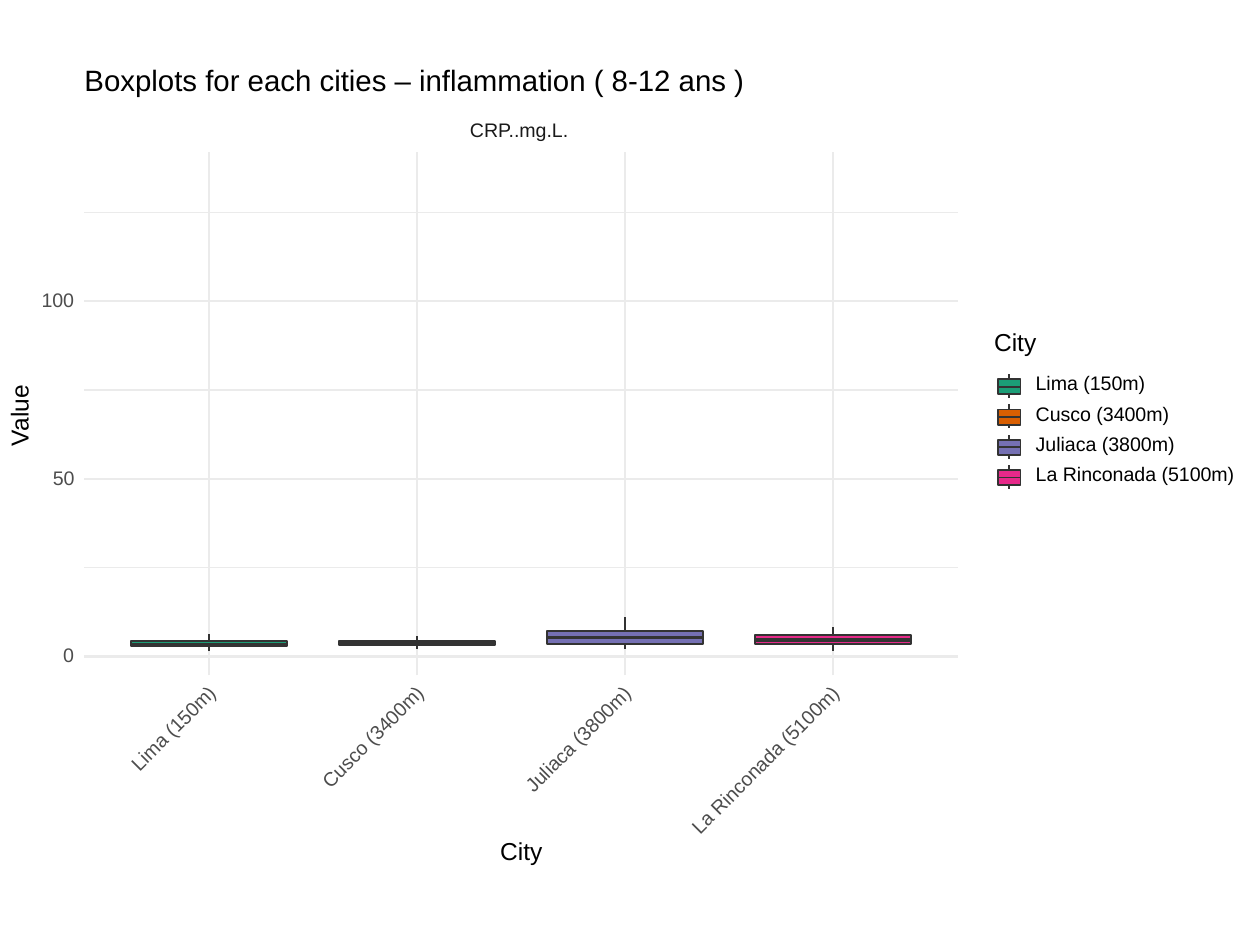
from math import sqrt

from lxml import etree
from pptx import Presentation
from pptx.dml.color import RGBColor
from pptx.enum.shapes import MSO_CONNECTOR, MSO_SHAPE
from pptx.enum.text import MSO_ANCHOR, MSO_AUTO_SIZE, PP_ALIGN
from pptx.oxml.ns import qn
from pptx.util import Inches, Pt

BLACK = RGBColor(0x00, 0x00, 0x00)
WHITE = RGBColor(0xFF, 0xFF, 0xFF)
OUTLINE = RGBColor(0x33, 0x33, 0x33)
GRID = RGBColor(0xEB, 0xEB, 0xEB)
AXIS_TEXT = RGBColor(0x4D, 0x4D, 0x4D)
STRIP_TEXT = RGBColor(0x1A, 0x1A, 0x1A)
GREEN = RGBColor(0x1B, 0x9E, 0x77)
ORANGE = RGBColor(0xD9, 0x5F, 0x02)
PURPLE = RGBColor(0x75, 0x70, 0xB3)
PINK = RGBColor(0xE7, 0x29, 0x8A)

THIN, MEDIUM, THICK = 1.07, 1.36, 2.13
SMALL, MIDDLE, LARGE = 11.2, 14, 16.8

PLOT_LEFT, PLOT_RIGHT = 0.67, 7.6
PLOT_TOP, PLOT_BOTTOM = 1.21, 5.36
ZERO_Y, STEP_50 = 5.21, 1.41
FIRST_X, CITY_STEP = 1.66, 1.65
BOX_WIDTH = 1.24
KEY_X, KEY_WIDTH, KEY_STEP = 8.01, 0.18, 0.24

# name, colour, label width, then y of: upper whisker, box top, median, box bottom, lower whisker
CITIES = [
    ("Lima (150m)", GREEN, 0.87, (5.03, 5.09, 5.12, 5.13, 5.17)),
    ("Cusco (3400m)", ORANGE, 1.06, (5.05, 5.09, 5.11, 5.12, 5.15)),
    ("Juliaca (3800m)", PURPLE, 1.11, (4.9, 5.01, 5.06, 5.11, 5.15)),
    ("La Rinconada (5100m)", PINK, 1.58, (4.98, 5.04, 5.08, 5.11, 5.17)),
]

deck = Presentation()
deck.slide_width, deck.slide_height = Inches(10), Inches(7.5)
page = deck.slides.add_slide(deck.slide_layouts[5])


def add_line(x1, y1, x2, y2, color, width):
    line = page.shapes.add_connector(
        MSO_CONNECTOR.STRAIGHT, Inches(x1), Inches(y1), Inches(x2), Inches(y2))
    line.line.color.rgb = color
    line.line.width = Pt(width)
    etree.SubElement(line._element.spPr, qn("a:effectLst"))


def set_text(box, text, left, top, width, height, size, color, rotation=0):
    """Place a text shape and give it one tightly set line."""
    box.left, box.top = Inches(left), Inches(top)
    box.width, box.height = Inches(width), Inches(height)
    box.rotation = rotation
    frame = box.text_frame
    frame.text = text
    frame.word_wrap = False
    frame.auto_size = MSO_AUTO_SIZE.NONE
    frame.vertical_anchor = MSO_ANCHOR.MIDDLE
    frame.margin_left = frame.margin_right = frame.margin_top = frame.margin_bottom = 0
    para = frame.paragraphs[0]
    para.alignment = PP_ALIGN.LEFT
    para.line_spacing = Pt(size)
    para.font.name = "Arial"
    para.font.size = Pt(size)
    para.font.color.rgb = color


# Background panel, with the title in front of it
panel = page.shapes.add_shape(
    MSO_SHAPE.RECTANGLE, Inches(0), Inches(0.5), Inches(10), Inches(6.5))
panel.shadow.inherit = False
panel.fill.solid()
panel.fill.fore_color.rgb = WHITE
panel.line.color.rgb = WHITE
panel.line.width = Pt(0.75)
title = page.shapes.title
panel.element.addnext(title.element)
set_text(title, "Boxplots for each cities – inflammation ( 8-12 ans )",
         0.67, 0.55, 5.24, 0.22, LARGE, BLACK)

# Grid
for step in (0.5, 1.5, 2.5, 0, 1, 2):
    y = ZERO_Y - step * STEP_50
    add_line(PLOT_LEFT, y, PLOT_RIGHT, y, GRID, MEDIUM if step == int(step) else 0.68)
city_xs = [FIRST_X + i * CITY_STEP for i in range(len(CITIES))]
for x in city_xs:
    add_line(x, PLOT_BOTTOM, x, PLOT_TOP, GRID, MEDIUM)

# Boxplots and their legend keys share one drawing rule
plots = []
for i, (name, color, label_width, levels) in enumerate(CITIES):
    key_y = 2.97 + i * KEY_STEP
    key_levels = [key_y + offset for offset in (0, 0.04, 0.1, 0.16, 0.19)]
    plots.append((city_xs[i], BOX_WIDTH, color, levels, THICK))
    plots.append((KEY_X, KEY_WIDTH, color, key_levels, THIN))

for x, width, color, (high, top, median, bottom, low), median_width in plots:
    left = x - width / 2
    add_line(x, top, x, high, OUTLINE, THIN)
    add_line(x, bottom, x, low, OUTLINE, THIN)
    box = page.shapes.add_shape(
        MSO_SHAPE.RECTANGLE, Inches(left), Inches(top), Inches(width), Inches(bottom - top))
    box.shadow.inherit = False
    box.fill.solid()
    box.fill.fore_color.rgb = color
    box.line.color.rgb = OUTLINE
    box.line.width = Pt(THIN)
    add_line(left, median, left + width, median, OUTLINE, median_width)

# Labels; the slanted ones end just below the axis at their city
labels = [
    ("CRP..mg.L.", 3.73, 0.97, 0.8, 0.15, SMALL, STRIP_TEXT),
    ("City", 3.97, 6.68, 0.33, 0.18, MIDDLE, BLACK),
    ("Value", -0.08, 3.22, 0.5, 0.14, MIDDLE, BLACK, 270),
    ("City", 7.89, 2.64, 0.33, 0.18, MIDDLE, BLACK),
]
for i, (text, width) in enumerate([("0", 0.09), ("50", 0.17), ("100", 0.26)]):
    labels.append((text, 0.59 - width, 5.16 - i * STEP_50, width, 0.11, SMALL, AXIS_TEXT))
for i, (name, color, width, levels) in enumerate(CITIES):
    reach = width / 2 / sqrt(2)
    center_x, center_y = city_xs[i] + 0.03 - reach, 5.48 + reach
    labels.append((name, center_x - width / 2, center_y - 0.075, width, 0.15,
                   SMALL, AXIS_TEXT, 315))
    labels.append((name, 8.22, 2.98 + i * KEY_STEP, width, 0.15, SMALL, BLACK))
for label in labels:
    set_text(page.shapes.add_textbox(0, 0, 0, 0), *label)

deck.save("out.pptx")
